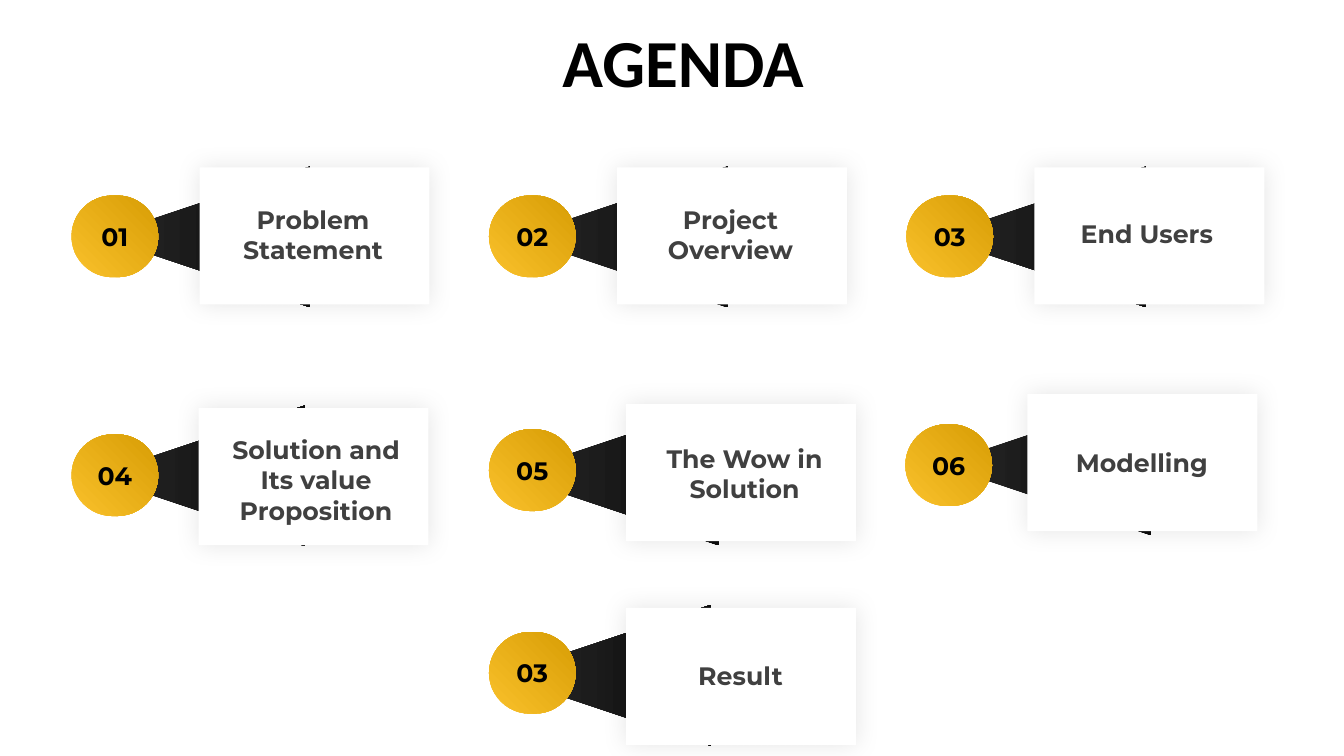
import pptx
import pptx.util
import pptx.dml.color
import pptx.enum.shapes
import pptx.enum.text
import lxml.etree

Inches = pptx.util.Inches
Shape = pptx.enum.shapes.MSO_SHAPE
NS = "http://schemas.openxmlformats.org/drawingml/2006/main"

THEME = {
    "wedge": ("262626", "0D0D0D"),
    "ball": ("FAC12B", "D79D05"),
    "card": "FFFFFF",
    "shade": "000000",
    "title": {"name": "Calibri", "size": 48, "bold": True, "color": "000000"},
    "number": {"name": "Montserrat", "size": 18, "bold": True, "color": "000000"},
    "label": {"name": "Montserrat", "size": 18, "bold": True, "color": "404040"},
}

# Number, label, then left and top of wedge, ball, card and label
ITEMS = [
    ("01", "Problem Statement", (1.33, 1.3), (0.71, 1.94), (1.98, 1.66), (1.98, 1.98)),
    ("02", "Project Overview", (5.47, 1.3), (4.85, 1.94), (6.12, 1.66), (6.12, 1.98)),
    ("03", "End Users", (9.62, 1.3), (8.99, 1.94), (10.26, 1.66), (10.25, 2.12)),
    ("04", "Solution and Its value Proposition",
     (1.28, 3.67), (0.71, 4.31), (1.97, 4.05), (2.01, 4.26)),
    ("05", "The Wow in Solution", (5.38, 3.66), (4.85, 4.26), (6.21, 4.01), (6.26, 4.35)),
    ("06", "Modelling", (9.67, 3.56), (8.98, 4.21), (10.19, 3.91), (10.2, 4.39)),
    ("03", "Result", (5.3, 5.65), (4.85, 6.27), (6.21, 6.03), (6.22, 6.5)),
]
WEDGE, BALL, CARD = (1.4, 2.1), (0.86, 0.81), (2.28, 1.36)
WIDE = 2.25
HIGH = {"End Users": 0.4, "Modelling": 0.4, "Result": 0.4,
        "Solution and Its value Proposition": 1.01}


def rgb(code):
    return pptx.dml.color.RGBColor.from_string(code)


def write(frame, text, look):
    """Put one centred line of styled text in a frame."""
    frame.word_wrap = True
    para = frame.paragraphs[0]
    para.alignment = pptx.enum.text.PP_ALIGN.CENTER
    run = para.add_run()
    run.text = text
    for key, value in look.items():
        if key == "color":
            run.font.color.rgb = rgb(value)
        else:
            setattr(run.font, key, pptx.util.Pt(value) if key == "size" else value)


def add_text(slide, spot, size, text, look):
    box = slide.shapes.add_textbox(*map(Inches, spot + size))
    write(box.text_frame, text, look)


def add_form(slide, kind, spot, size):
    form = slide.shapes.add_shape(kind, *map(Inches, spot + size))
    form.shadow.inherit = False
    form.line.fill.background()
    return form


def blend(form, pair, angle):
    """Fill a shape with a two-colour gradient."""
    form.fill.gradient()
    form.fill.gradient_angle = angle
    for stop, code, place in zip(form.fill.gradient_stops, pair, (0, 1)):
        stop.color.rgb = rgb(code)
        stop.position = place


def add_wedge(slide, spot):
    wedge = add_form(slide, Shape.ISOSCELES_TRIANGLE, spot, WEDGE)
    wedge.rotation = 270
    blend(wedge, THEME["wedge"], 270)


def add_ball(slide, spot, number):
    ball = add_form(slide, Shape.ROUNDED_RECTANGLE, spot, BALL)
    ball.adjustments[0] = 0.5
    blend(ball, THEME["ball"], 45)
    ball.text_frame.vertical_anchor = pptx.enum.text.MSO_ANCHOR.MIDDLE
    write(ball.text_frame, number, THEME["number"])


def add_card(slide, spot):
    card = add_form(slide, Shape.RECTANGLE, spot, CARD)
    card.fill.solid()
    card.fill.fore_color.rgb = rgb(THEME["card"])
    # Soft shadow on all sides
    glow = card._element.spPr.find(f"{{{NS}}}effectLst")
    shade = lxml.etree.SubElement(glow, f"{{{NS}}}outerShdw", {
        "blurRad": str(pptx.util.Pt(18)), "dist": "0", "dir": "0",
        "algn": "ctr", "rotWithShape": "0"})
    tint = lxml.etree.SubElement(shade, f"{{{NS}}}srgbClr", val=THEME["shade"])
    lxml.etree.SubElement(tint, f"{{{NS}}}alpha", val="9000")


def add_item(slide, number, label, wedge, ball, card, text):
    add_wedge(slide, wedge)
    add_ball(slide, ball, number)
    add_card(slide, card)
    add_text(slide, text, (WIDE, HIGH.get(label, 0.71)), label, THEME["label"])


def main():
    deck = pptx.Presentation()
    deck.slide_width, deck.slide_height = Inches(13.33), Inches(7.5)
    slide = deck.slides.add_slide(deck.slide_layouts[6])

    # Title
    add_text(slide, (0.11, 0.15), (13.33, 0.91), "AGENDA", THEME["title"])

    # Agenda items
    for item in ITEMS:
        add_item(slide, *item)

    deck.save("out.pptx")


if __name__ == "__main__":
    main()
